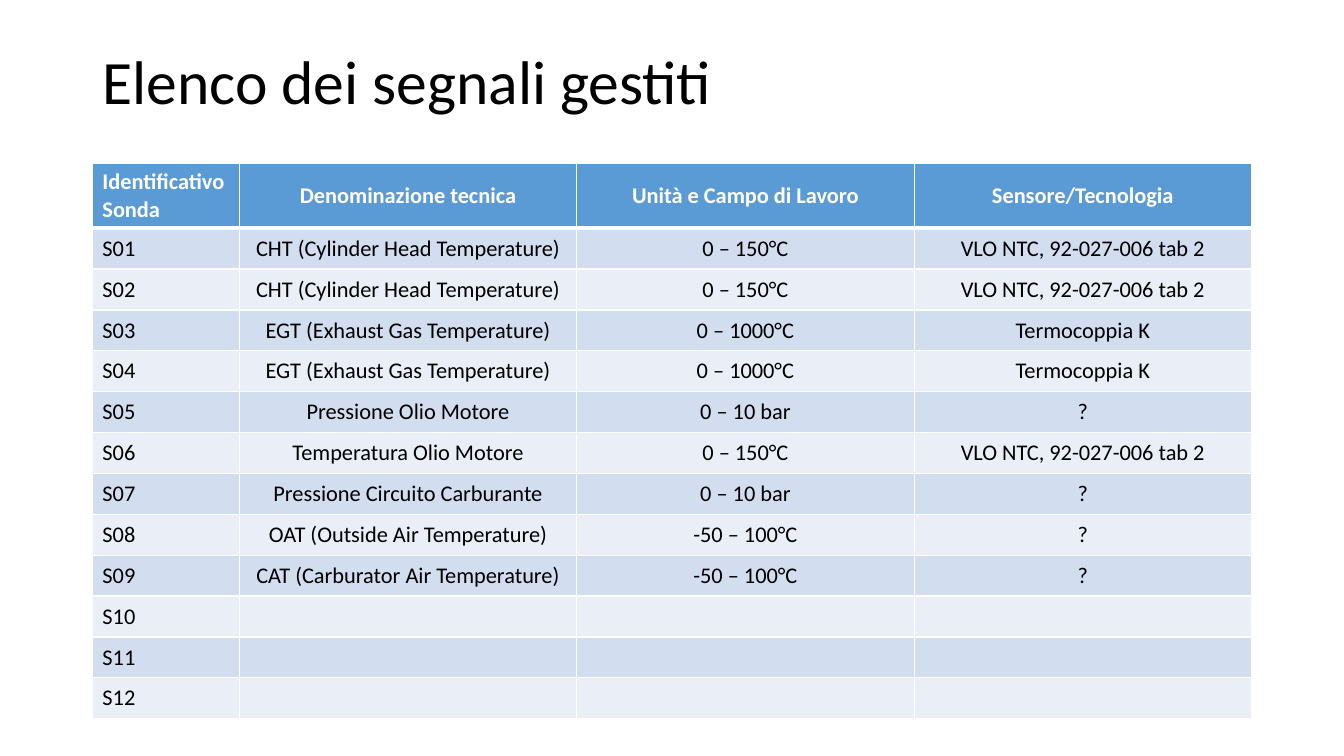
from lxml import etree
from pptx import Presentation
from pptx.dml.color import RGBColor
from pptx.enum.text import MSO_ANCHOR, MSO_AUTO_SIZE, PP_ALIGN
from pptx.oxml.ns import qn
from pptx.util import Pt

LEFT, CENTER = PP_ALIGN.LEFT, PP_ALIGN.CENTER
MIDDLE = MSO_ANCHOR.MIDDLE
NO_FIT = MSO_AUTO_SIZE.NONE

FONT = "Calibri"
BLACK = RGBColor(0x00, 0x00, 0x00)
WHITE = RGBColor(0xFF, 0xFF, 0xFF)
BLUE = RGBColor(0x5B, 0x9B, 0xD5)
BANDS = (RGBColor(0xEA, 0xEF, 0xF7), RGBColor(0xD2, 0xDE, 0xEF))

MARGIN, WIDTH = 66, 828
TABLE_TOP, ROW_HEIGHT, ID_WIDTH = 116.64, 29.2, 105

HEADER = ("Identificativo Sonda", "Denominazione tecnica",
          "Unità e Campo di Lavoro", "Sensore/Tecnologia")
CHT = "CHT (Cylinder Head Temperature)"
EGT = "EGT (Exhaust Gas Temperature)"
NTC = "VLO NTC, 92-027-006 tab 2"
PROBES = (
    (CHT, "0 – 150°C", NTC),
    (CHT, "0 – 150°C", NTC),
    (EGT, "0 – 1000°C", "Termocoppia K"),
    (EGT, "0 – 1000°C", "Termocoppia K"),
    ("Pressione Olio Motore", "0 – 10 bar", "?"),
    ("Temperatura Olio Motore", "0 – 150°C", NTC),
    ("Pressione Circuito Carburante", "0 – 10 bar", "?"),
    ("OAT (Outside Air Temperature)", "-50 – 100°C", "?"),
    ("CAT (Carburator Air Temperature)", "-50 – 100°C", "?"),
    ("", "", ""),
    ("", "", ""),
    ("", "", ""),
)


def write(frame, text, size=16, color=BLACK, bold=False, align=LEFT, spacing=1.0):
    para = frame.paragraphs[0]
    para.alignment = align
    para.line_spacing = spacing
    para.font.size = Pt(size)
    if text:
        run = para.add_run()
        run.text = text
        font = run.font
        font.name, font.size, font.bold = FONT, Pt(size), bold
        font.color.rgb = color


def add_title(slide, text):
    title = slide.shapes.title
    title.left, title.top = Pt(MARGIN), Pt(28.8)
    title.width, title.height = Pt(WIDTH), Pt(62.64)
    frame = title.text_frame
    frame.auto_size = NO_FIT
    frame.word_wrap = True
    frame.vertical_anchor = MIDDLE
    write(frame, text, size=44, spacing=0.9)


def set_border(cell, side, width):
    props = cell._tc.get_or_add_tcPr()
    line = etree.SubElement(props, qn("a:ln" + side), w=str(Pt(width)))
    fill = etree.SubElement(line, qn("a:solidFill"))
    etree.SubElement(fill, qn("a:srgbClr"), val=str(WHITE))


def style_cell(cell, fill, header_edge):
    """Draw white borders, with a thick one on the header_edge side, then fill."""
    for side in "LRTB":
        set_border(cell, side, 3 if side == header_edge else 1)
    cell.fill.solid()
    cell.fill.fore_color.rgb = fill
    cell.vertical_anchor = MIDDLE


def add_signals(slide):
    rows = [HEADER] + [(f"S{num:02}",) + probe
                       for num, probe in enumerate(PROBES, 1)]
    table = slide.shapes.add_table(
        len(rows), len(HEADER), Pt(MARGIN), Pt(TABLE_TOP),
        Pt(WIDTH), Pt(ROW_HEIGHT * len(rows))).table
    for col, column in enumerate(table.columns):
        rest = (WIDTH - ID_WIDTH) / (len(HEADER) - 1)
        column.width = Pt(rest if col else ID_WIDTH)
    for row, texts in enumerate(rows):
        table.rows[row].height = Pt(ROW_HEIGHT)
        head = row == 0
        edge = {0: "B", 1: "T"}.get(row)
        for col, text in enumerate(texts):
            cell = table.cell(row, col)
            style_cell(cell, BLUE if head else BANDS[row % 2], edge)
            write(cell.text_frame, text, color=WHITE if head else BLACK,
                  bold=head, align=CENTER if col else LEFT)


def main():
    deck = Presentation()
    deck.slide_width, deck.slide_height = Pt(960), Pt(540)
    slide = deck.slides.add_slide(deck.slide_layouts[5])
    add_title(slide, "Elenco dei segnali gestiti")
    add_signals(slide)
    deck.save("out.pptx")


if __name__ == "__main__":
    main()
